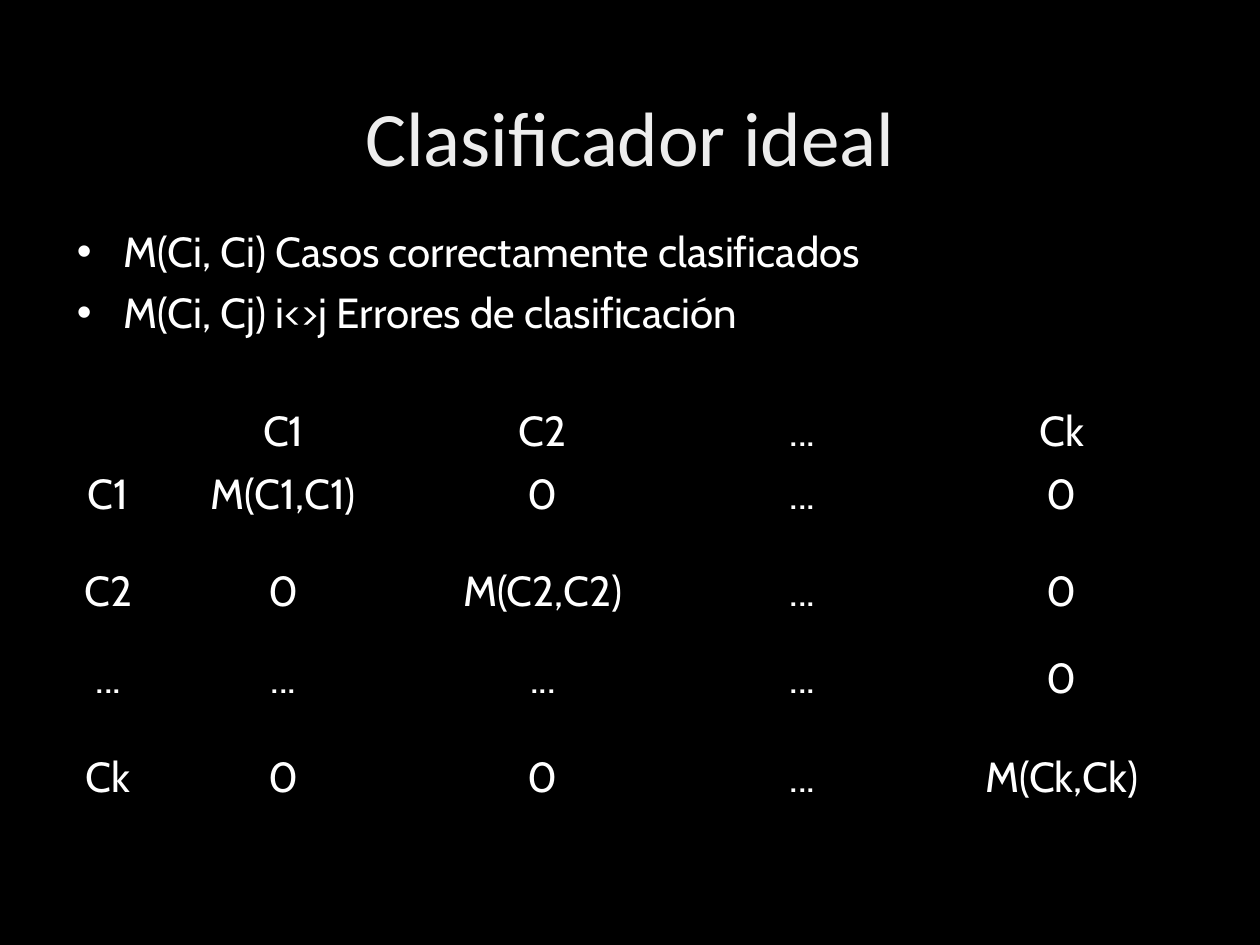
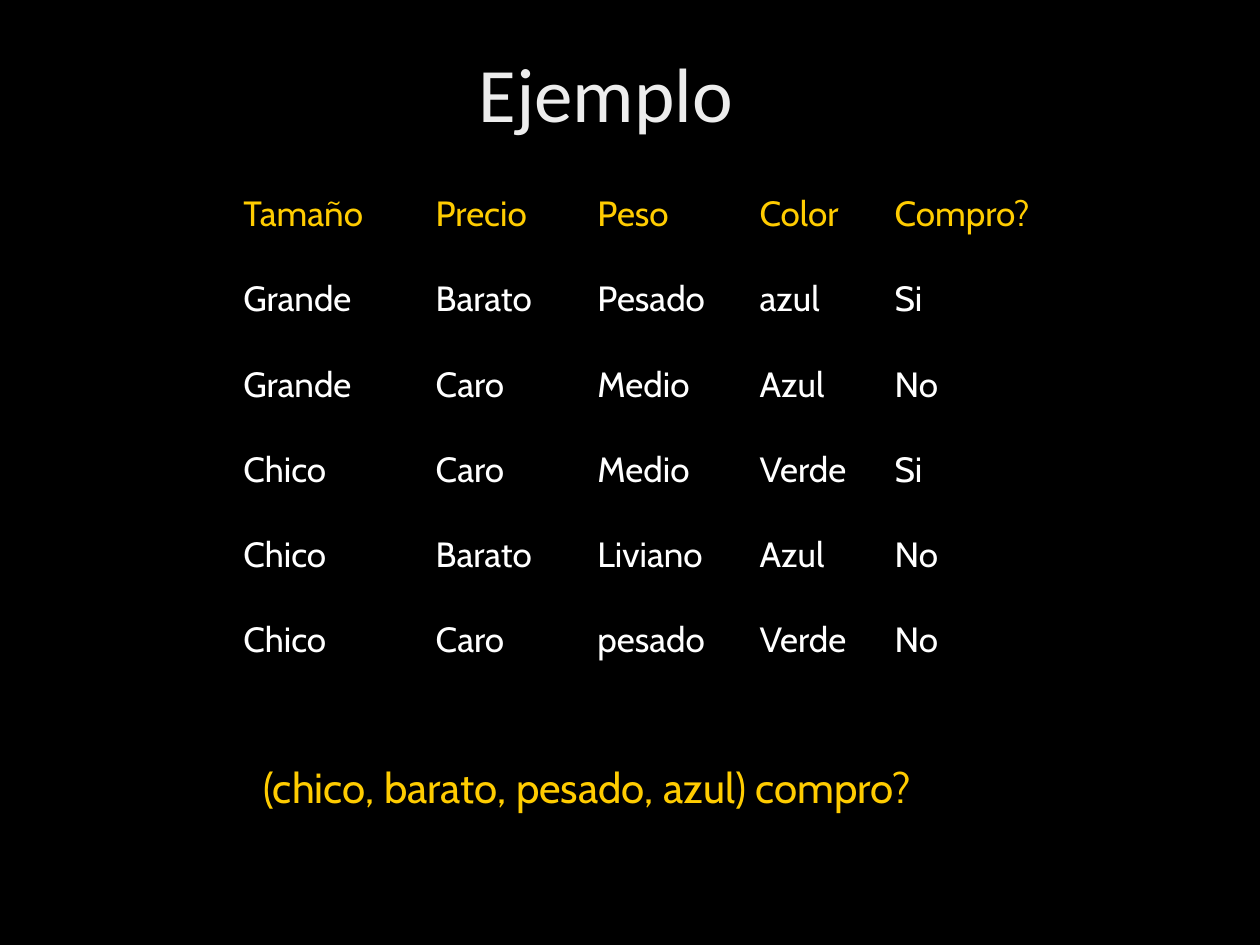
from lxml import etree
from pptx import Presentation
from pptx.dml.color import RGBColor
from pptx.enum.text import MSO_ANCHOR, MSO_AUTO_SIZE, PP_ALIGN
from pptx.oxml.ns import qn
from pptx.util import Pt

# Content
IDEAL_TITLE = "Clasificador ideal"
IDEAL_POINTS = [
    "M(Ci, Ci) Casos correctamente clasificados",
    "M(Ci, Cj) i<>j Errores de clasificación",
]
CONFUSION_MATRIX = [
    ["", "C1", "C2", "...", "Ck"],
    ["C1", "M(C1,C1)", "0", "...", "0"],
    ["C2", "0", "M(C2,C2)", "...", "0"],
    ["...", "...", "...", "...", "0"],
    ["Ck", "0", "0", "...", "M(Ck,Ck)"],
]
EXAMPLE_TITLE = "Ejemplo"
PURCHASES = [
    ["Tamaño", "Precio", "Peso", "Color", "Compro?"],
    ["Grande", "Barato", "Pesado", "azul", "Si"],
    ["Grande", "Caro", "Medio", "Azul", "No"],
    ["Chico", "Caro", "Medio", "Verde", "Si"],
    ["Chico", "Barato", "Liviano", "Azul", "No"],
    ["Chico", "Caro", "pesado", "Verde", "No"],
]
QUESTION = "(chico, barato, pesado, azul) compro?"

# Shared look
BLACK = RGBColor(0x00, 0x00, 0x00)
WHITE = RGBColor(0xFF, 0xFF, 0xFF)
SILVER = RGBColor(0xED, 0xED, 0xED)
GOLD = RGBColor(0xFF, 0xCC, 0x00)
TITLE_FONT, TEXT_FONT = "Calibri", "Cabin"
INNER_LINE, OUTER_LINE = 1, 2.25


def place(shape, left, top, width, height):
    shape.left, shape.top = Pt(left), Pt(top)
    shape.width, shape.height = Pt(width), Pt(height)


def set_frame(frame, inset_top):
    frame.word_wrap = True
    frame.auto_size = MSO_AUTO_SIZE.NONE
    frame.margin_left = frame.margin_right = frame.margin_bottom = 0
    frame.margin_top = Pt(inset_top)


def style(para, size, color, font=TEXT_FONT, align=PP_ALIGN.LEFT):
    para.alignment = align
    para.space_before = Pt(0)
    for span in para.runs:
        span.font.name, span.font.size = font, Pt(size)
        span.font.color.rgb = color


def add_page(deck, layout, title, left, top):
    page = deck.slides.add_slide(deck.slide_layouts.get_by_name(layout))
    box = page.shapes.title
    place(box, left, top, 620.6, 71.3)
    frame = box.text_frame
    frame.text = title
    set_frame(frame, 18)
    frame.vertical_anchor = MSO_ANCHOR.MIDDLE
    style(frame.paragraphs[0], 44, SILVER, TITLE_FONT, PP_ALIGN.CENTER)
    return page


def set_borders(cell, widths):
    properties = cell._tc.get_or_add_tcPr()
    for side, width in zip("LRTB", widths):
        line = etree.SubElement(properties, qn(f"a:ln{side}"), w=str(Pt(width)))
        fill = etree.SubElement(line, qn("a:solidFill"))
        etree.SubElement(fill, qn("a:srgbClr"), val=str(BLACK))


def add_grid(page, rows, left, top, widths, heights, size, align,
             header_color=WHITE, inset_left=0, edge=INNER_LINE):
    table = page.shapes.add_table(
        len(rows), len(widths), Pt(left), Pt(top),
        Pt(sum(widths)), Pt(sum(heights))).table
    table.first_row = table.horz_banding = False
    for column, width in zip(table.columns, widths):
        column.width = Pt(width)
    last_row, last_column = len(rows) - 1, len(widths) - 1
    for r, (row, height) in enumerate(zip(rows, heights)):
        table.rows[r].height = Pt(height)
        for c, text in enumerate(row):
            cell = table.cell(r, c)
            on_edge = (c == 0, c == last_column, r == 0, r == last_row)
            set_borders(cell, [edge if outer else INNER_LINE for outer in on_edge])
            cell.fill.background()
            cell.margin_left, cell.margin_top = Pt(inset_left), Pt(2.9)
            cell.margin_right = cell.margin_bottom = 0
            cell.text_frame.text = text
            style(cell.text_frame.paragraphs[0], size,
                  WHITE if r else header_color, align=align)


def add_ideal_page(deck):
    page = add_page(deck, "Title and Content", IDEAL_TITLE, 49.7, 33.1)

    # Bulleted definitions
    body = page.placeholders[1]
    place(body, 42.5, 121.7, 488.9, 72)
    frame = body.text_frame
    frame.text = "\n".join(IDEAL_POINTS)
    set_frame(frame, 7.2)
    for index, para in enumerate(frame.paragraphs):
        properties = para._p.get_or_add_pPr()
        properties.set("marL", str(Pt(28)))
        properties.set("indent", str(Pt(-26.6)))
        etree.SubElement(properties, qn("a:buChar"), char="•")
        style(para, 24, WHITE)
        para.space_before = Pt(6 if index else 0)

    # Confusion matrix
    add_grid(page, CONFUSION_MATRIX, 36, 229, [51.8] + [148.3] * 4,
             [36, 55.4, 49.7, 56.9, 56.9], 24, PP_ALIGN.CENTER, edge=OUTER_LINE)


def add_example_page(deck):
    page = add_page(deck, "Title Only", EXAMPLE_TITLE, 36, 7.9)

    # Purchase records
    add_grid(page, PURCHASES, 131.8, 107.3, [110, 92.4, 92.7, 77.2, 108],
             [48.7] * len(PURCHASES), 20, PP_ALIGN.LEFT, GOLD, inset_left=7.2)

    # Case to classify
    box = page.shapes.add_textbox(Pt(150.5), Pt(434.2), Pt(404.6), Pt(31))
    frame = box.text_frame
    frame.text = QUESTION
    set_frame(frame, 0.7)
    style(frame.paragraphs[0], 24, GOLD)


def main():
    deck = Presentation()
    deck.slide_width, deck.slide_height = Pt(720), Pt(540)
    background = deck.slide_master.background.fill
    background.solid()
    background.fore_color.rgb = BLACK
    add_ideal_page(deck)
    add_example_page(deck)
    deck.save("out.pptx")


if __name__ == "__main__":
    main()
